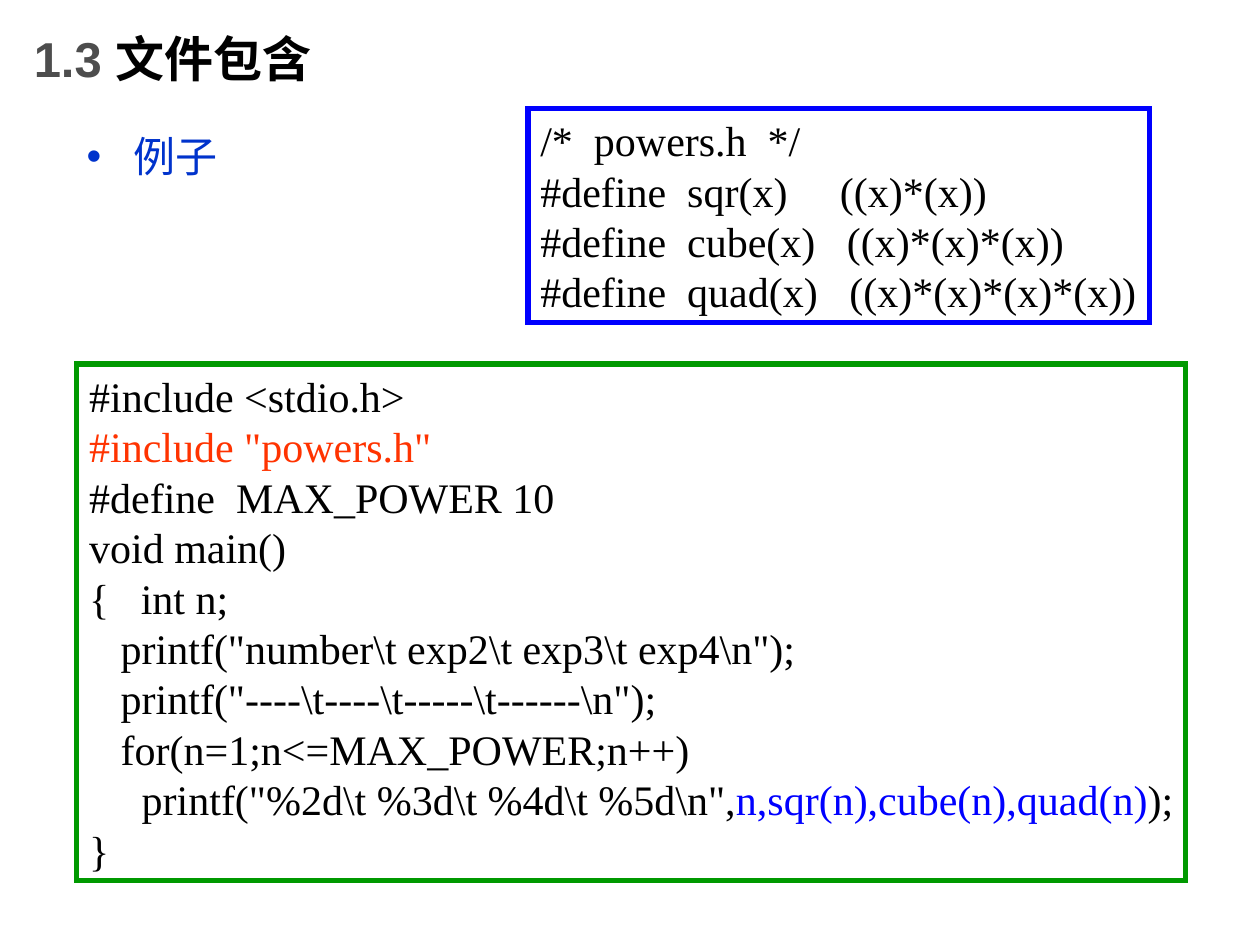
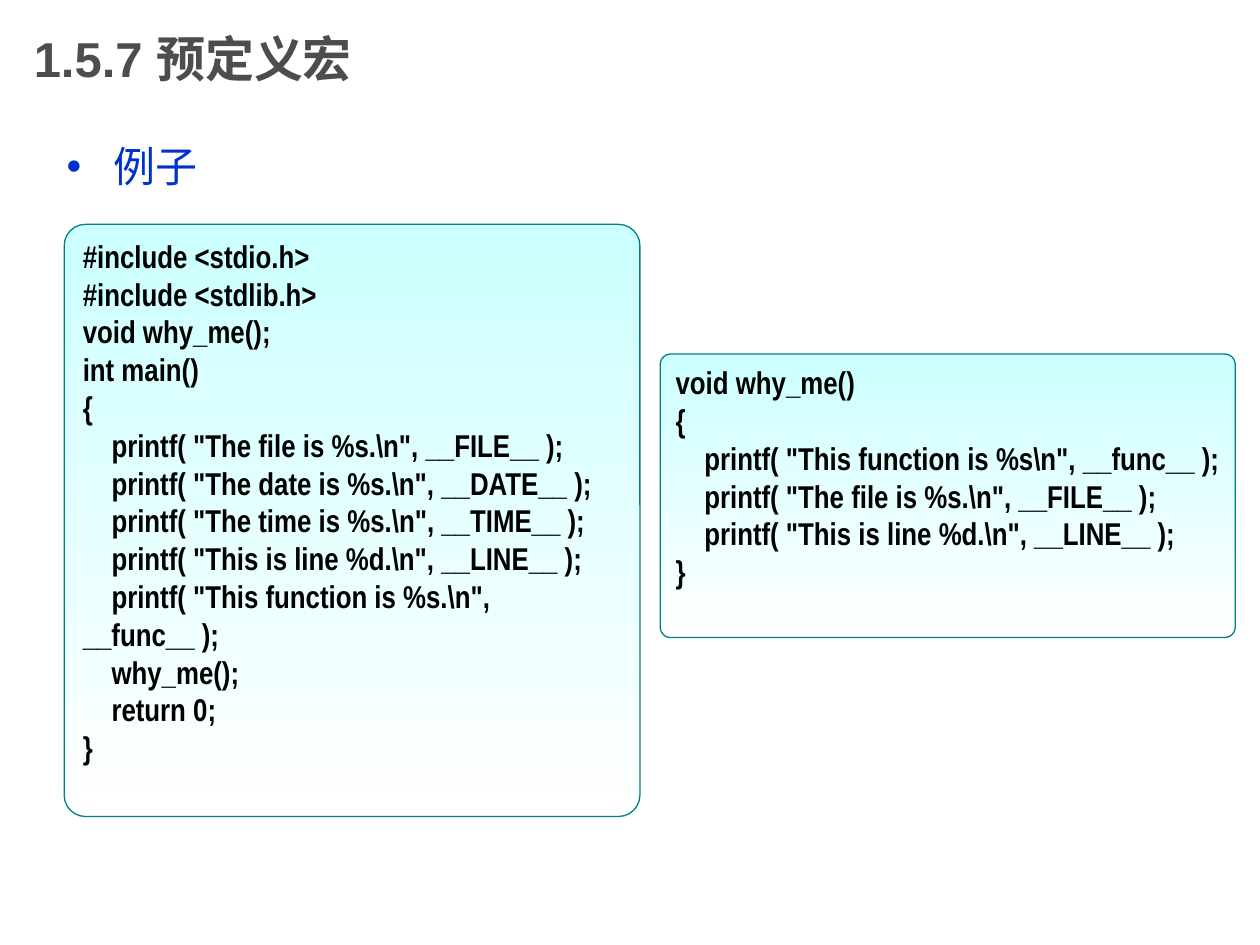
from lxml.etree import SubElement as Sub
from pptx import Presentation
from pptx.dml.color import RGBColor as RGB
from pptx.enum.shapes import MSO_SHAPE as Shape
from pptx.enum.text import MSO_ANCHOR as Anchor, PP_ALIGN as Align
from pptx.oxml.ns import qn
from pptx.util import Pt

BLACK = RGB(0, 0, 0)
WHITE = RGB(255, 255, 255)
GREY = RGB(0x4D, 0x4D, 0x4D)
NAVY = RGB(0, 0x33, 0xCC)
BLUE = RGB(0, 0, 255)
GREEN = RGB(0, 0x99, 0)
RED = RGB(255, 0x33, 0)
CYAN = RGB(0xCC, 255, 255)
TEAL = RGB(0, 0x80, 0x80)

HEAD = dict(name="Arial", size=Pt(28), bold=True)
ITEM = dict(name="Arial", size=Pt(24))
SERIF = dict(name="Times New Roman", size=Pt(24))
BOLD = dict(name="Arial Narrow", size=Pt(18), bold=True)
CODE = dict(word_wrap=True, margin_left=Pt(7.2), margin_right=Pt(5),
            margin_top=Pt(3.6), margin_bottom=Pt(3.6))

TITLE = (12.24, 0, 540, 66)

POWERS = [
    (0, "/*  powers.h  */"),
    (0, "#define  sqr(x)     ((x)*(x))"),
    (0, "#define  cube(x)   ((x)*(x)*(x))"),
    (0, "#define  quad(x)   ((x)*(x)*(x)*(x))"),
]
TABLE = [
    (0, "#include <stdio.h>"),
    (0, [('#include "powers.h"', RED)]),
    (0, "#define  MAX_POWER 10"),
    (0, "void main()"),
    (0, "{   int n;"),
    (18, r'printf("number\t exp2\t exp3\t exp4\n");'),
    (18, r'printf("----\t----\t-----\t------\n");'),
    (18, "for(n=1;n<=MAX_POWER;n++)"),
    (30, [(r'printf("%2d\t %3d\t %4d\t %5d\n",', BLACK),
          ("n,sqr(n),cube(n),quad(n)", BLUE), (");", BLACK)]),
    (0, "}"),
]
MAIN = [
    (0, "#include <stdio.h>"),
    (0, "#include <stdlib.h>"),
    (0, "void why_me();"),
    (0, "int main()"),
    (0, "{"),
    (16.4, r'printf( "The file is %s.\n", __FILE__ );'),
    (16.4, r'printf( "The date is %s.\n", __DATE__ );'),
    (16.4, r'printf( "The time is %s.\n", __TIME__ );'),
    (16.4, r'printf( "This is line %d.\n", __LINE__ );'),
    (16.4, r'printf( "This function is %s.\n", __func__ );'),
    (16.4, "why_me();"),
    (16.4, "return 0;"),
    (0, "}"),
]
WHY = [
    (0, "void why_me()"),
    (0, "{"),
    (16.4, r'printf( "This function is %s\n", __func__ );'),
    (16.4, r'printf( "The file is %s.\n", __FILE__ );'),
    (16.4, r'printf( "This is line %d.\n", __LINE__ );'),
    (0, "}"),
]


def apply(item, form):
    for key, val in form.items():
        setattr(item, key, val)


def write(para, parts, font):
    for text, tint in parts:
        run = para.add_run()
        run.text = text
        apply(run.font, font)
        run.font.color.rgb = tint


def label(slide, box, form):
    frame = slide.shapes.add_textbox(*map(Pt, box)).text_frame
    apply(frame, dict(form, word_wrap=True))
    return frame.paragraphs[0]


def title(slide, parts):
    para = label(slide, TITLE, dict(vertical_anchor=Anchor.MIDDLE))
    write(para, parts, HEAD)


def bullet(slide, box, text):
    para = label(slide, box, {})
    para.space_before = Pt(6)
    props = para._p.get_or_add_pPr()
    props.set("marL", str(Pt(27)))
    props.set("indent", str(Pt(-27)))
    tint = Sub(props, qn("a:buClr"))
    Sub(tint, qn("a:srgbClr"), val=str(NAVY))
    Sub(props, qn("a:buFont"), typeface="Arial")
    Sub(props, qn("a:buChar"), char="•")
    write(para, [(text, NAVY)], ITEM)


def code(slide, kind, box, lines, font, edge, width, anchor):
    shape = slide.shapes.add_shape(kind, *map(Pt, box))
    shape.shadow.inherit = False
    shape.line.color.rgb = edge
    shape.line.width = Pt(width)
    Sub(shape.line._get_or_add_ln(), qn("a:miter"), lim="800000")
    frame = shape.text_frame
    apply(frame, dict(CODE, vertical_anchor=anchor))
    for num, (dent, parts) in enumerate(lines):
        para = frame.add_paragraph() if num else frame.paragraphs[0]
        para.alignment = Align.LEFT
        para._p.get_or_add_pPr().set("indent", str(Pt(dent)))
        if isinstance(parts, str):
            parts = [(parts, BLACK)]
        write(para, parts, font)
    return shape


def plain(slide, box, lines, edge):
    shape = code(slide, Shape.RECTANGLE, box, lines, SERIF, edge, 3, Anchor.MIDDLE)
    shape.fill.solid()
    shape.fill.fore_color.rgb = WHITE


def panel(slide, box, lines):
    shape = code(slide, Shape.ROUNDED_RECTANGLE, box, lines, BOLD, TEAL, 0.75, Anchor.TOP)
    shape.adjustments[0] = 0.037
    shape.fill.gradient()
    shape.fill.gradient_angle = 270
    for stop, tint, pos in zip(shape.fill.gradient_stops, (CYAN, WHITE), (0, 1)):
        stop.color.rgb = tint
        stop.position = pos


def files(slide):
    title(slide, [("1.3 ", GREY), ("文件包含", BLACK)])
    bullet(slide, (42.5, 71.3, 612, 43), "例子")
    plain(slide, (301.7, 61.9, 355, 122.4), POWERS, BLUE)
    plain(slide, (43.9, 208.1, 633.6, 295.2), TABLE, GREEN)


def macros(slide):
    title(slide, [("1.5.7 预定义宏", GREY)])
    bullet(slide, (31, 77, 595.5, 39.6), "例子")
    panel(slide, (36.7, 128.2, 329, 338.4), MAIN)
    panel(slide, (377.3, 202.3, 328.6, 162), WHY)


def main():
    deck = Presentation()
    apply(deck, dict(slide_width=Pt(720), slide_height=Pt(540)))
    for build in (files, macros):
        build(deck.slides.add_slide(deck.slide_layouts[6]))
    deck.save("out.pptx")


if __name__ == "__main__":
    main()
